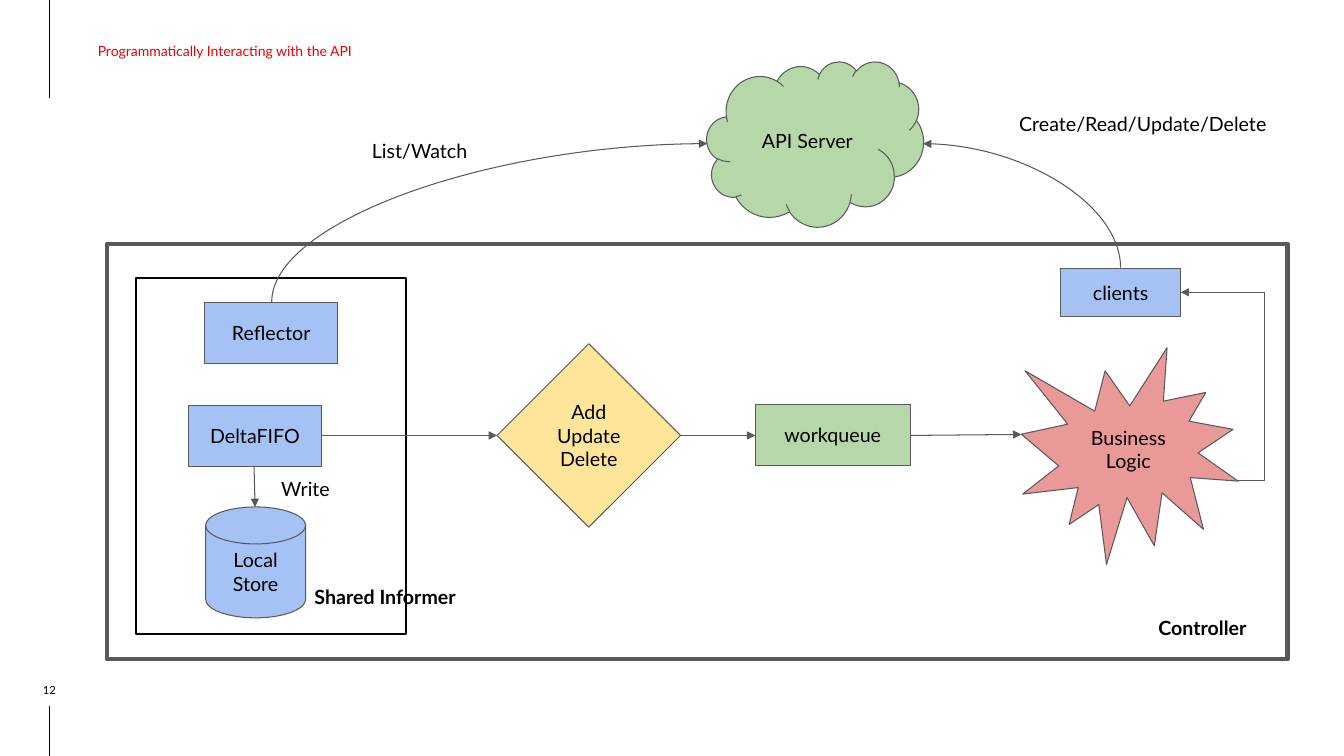
from typing import NamedTuple

from lxml import etree
from pptx import Presentation
from pptx.dml.color import RGBColor
from pptx.enum.shapes import MSO_CONNECTOR, MSO_SHAPE
from pptx.enum.text import MSO_ANCHOR, PP_ALIGN
from pptx.oxml.ns import qn
from pptx.util import Inches, Pt

RECT = MSO_SHAPE.RECTANGLE
CLOUD = MSO_SHAPE.CLOUD
DIAMOND = MSO_SHAPE.FLOWCHART_DECISION
DISK = MSO_SHAPE.FLOWCHART_MAGNETIC_DISK
BURST = MSO_SHAPE.EXPLOSION1
STRAIGHT = MSO_CONNECTOR.STRAIGHT
CURVE = MSO_CONNECTOR.CURVE
ELBOW = MSO_CONNECTOR.ELBOW
TOP, MIDDLE, BOTTOM = MSO_ANCHOR.TOP, MSO_ANCHOR.MIDDLE, MSO_ANCHOR.BOTTOM
LEFT, CENTER = PP_ALIGN.LEFT, PP_ALIGN.CENTER

FONT = "Lato"
BLACK, GRAY, RED = "000000", "595959", "EE0000"
BLUE, GREEN, YELLOW, ROSE = "A4C2F4", "B6D7A8", "FFE599", "EA9999"


class Box(NamedTuple):
    left: float
    top: float
    width: float
    height: float


class Node(NamedTuple):
    kind: int
    box: Box
    fill: str | None = None
    text: str = ""
    line: str = GRAY
    weight: float = 0.75


class Label(NamedTuple):
    text: str
    box: Box
    bold: bool = False
    size: float = 14
    color: str = BLACK
    align: int = LEFT
    anchor: int = TOP
    inset: float = 0.1
    indent: float = 0.1


class Link(NamedTuple):
    """Start and end are given before the turn, in degrees, is applied."""
    start: tuple[float, float]
    end: tuple[float, float]
    kind: int = STRAIGHT
    turn: int = 0
    bend: float | None = None
    color: str = GRAY
    arrow: bool = True


FRAMES = [
    Node(RECT, Box(1.06, 2.42, 11.71, 4.12), weight=3),
    Node(RECT, Box(1.35, 2.76, 2.68, 3.53), line=BLACK, weight=1.5),
]
NODES = [
    Node(RECT, Box(7.49, 4.01, 1.54, 0.61), GREEN, "workqueue"),
    Node(DIAMOND, Box(4.93, 3.41, 1.82, 1.82), YELLOW, "Add\nUpdate\nDelete"),
    Node(CLOUD, Box(7.01, 0.61, 2.15, 1.64), GREEN, "API Server"),
    Node(BURST, Box(10.13, 3.45, 2.15, 2.15), ROSE, "Business\nLogic"),
    Node(RECT, Box(1.87, 4.02, 1.32, 0.61), BLUE, "DeltaFIFO"),
    Node(DISK, Box(2.04, 5.03, 0.99, 1.1), BLUE, "Local\nStore"),
    Node(RECT, Box(2.03, 3, 1.32, 0.61), BLUE, "Reflector"),
    Node(RECT, Box(10.52, 2.66, 1.19, 0.48), BLUE, "clients"),
]
LINKS = [
    Link((0.49, 0.97), (0.49, 0), color=BLACK, arrow=False),
    Link((0.49, 7.5), (0.49, 7), color=BLACK, arrow=False),
    Link((3.18, 4.32), (4.93, 4.32)),
    Link((6.75, 4.32), (7.49, 4.32)),
    Link((9.03, 4.32), (10.13, 4.31)),
    Link((2.52, 4.63), (2.53, 5.03)),
    Link((4.07, 0.05), (5.64, 4.37), CURVE, turn=270),
    Link((10.75, 1.06), (9.52, 3.02), CURVE, turn=90),
    Link((11.71, 2.9), (12.28, 4.77), ELBOW, turn=180, bend=-0.455),
]
LABELS = [
    Label("Programmatically Interacting with the API", Box(0.49, 0.06, 5.63, 0.89),
          size=10, color=RED, anchor=MIDDLE, indent=0.48),
    Label("12", Box(0.09, 6.75, 0.8, 0.16), size=8, align=CENTER,
          anchor=BOTTOM, inset=0, indent=0),
    Label("Shared Informer", Box(3.02, 5.7, 1.65, 0.48), bold=True),
    Label("Controller", Box(11.39, 6.01, 1.65, 0.48), bold=True),
    Label("List/Watch", Box(3.59, 1.28, 1.73, 0.48)),
    Label("Write", Box(2.69, 4.63, 1.73, 0.48)),
    Label("Create/Read/Update/Delete", Box(10.01, 1.01, 2.77, 0.48)),
]


def rgb(code: str) -> RGBColor:
    return RGBColor.from_string(code)


def write(shape, label: Label) -> None:
    frame = shape.text_frame
    frame.text = label.text
    frame.word_wrap = True
    frame.vertical_anchor = label.anchor
    frame.margin_left = Inches(label.indent)
    frame.margin_right = frame.margin_top = frame.margin_bottom = Inches(label.inset)
    for para in frame.paragraphs:
        para.alignment = label.align
        font = para.font
        font.name, font.size, font.bold = FONT, Pt(label.size), label.bold
        font.color.rgb = rgb(label.color)


def draw_node(slide, node: Node) -> None:
    shape = slide.shapes.add_shape(node.kind, *map(Inches, node.box))
    shape.shadow.inherit = False
    if node.fill:
        shape.fill.solid()
        shape.fill.fore_color.rgb = rgb(node.fill)
    else:
        shape.fill.background()
    shape.line.color.rgb = rgb(node.line)
    shape.line.width = Pt(node.weight)
    if node.text:
        write(shape, Label(node.text, node.box, align=CENTER, anchor=MIDDLE))


def draw_label(slide, label: Label) -> None:
    write(slide.shapes.add_textbox(*map(Inches, label.box)), label)


def draw_link(slide, link: Link) -> None:
    line = slide.shapes.add_connector(
        link.kind, *map(Inches, link.start + link.end))
    line.line.color.rgb = rgb(link.color)
    line.line.width = Pt(0.75)
    props = line._element.spPr
    geom = props.find(qn("a:prstGeom"))
    if link.arrow:
        etree.SubElement(props.find(qn("a:ln")), qn("a:tailEnd"), type="triangle")
    if link.turn:
        props.find(qn("a:xfrm")).set("rot", str(link.turn * 60000))
    if link.kind == CURVE:
        geom.set("prst", "curvedConnector2")
    if link.bend is not None:
        etree.SubElement(geom.find(qn("a:avLst")), qn("a:gd"), name="adj1",
                         fmla=f"val {round(link.bend * 100000)}")
    etree.SubElement(props, qn("a:effectLst"))


def main() -> None:
    deck = Presentation()
    deck.slide_width, deck.slide_height = Inches(13.33), Inches(7.5)
    slide = deck.slides.add_slide(deck.slide_layouts[6])
    for node in FRAMES + NODES:
        draw_node(slide, node)
    for link in LINKS:
        draw_link(slide, link)
    for label in LABELS:
        draw_label(slide, label)
    deck.save("out.pptx")


if __name__ == "__main__":
    main()
